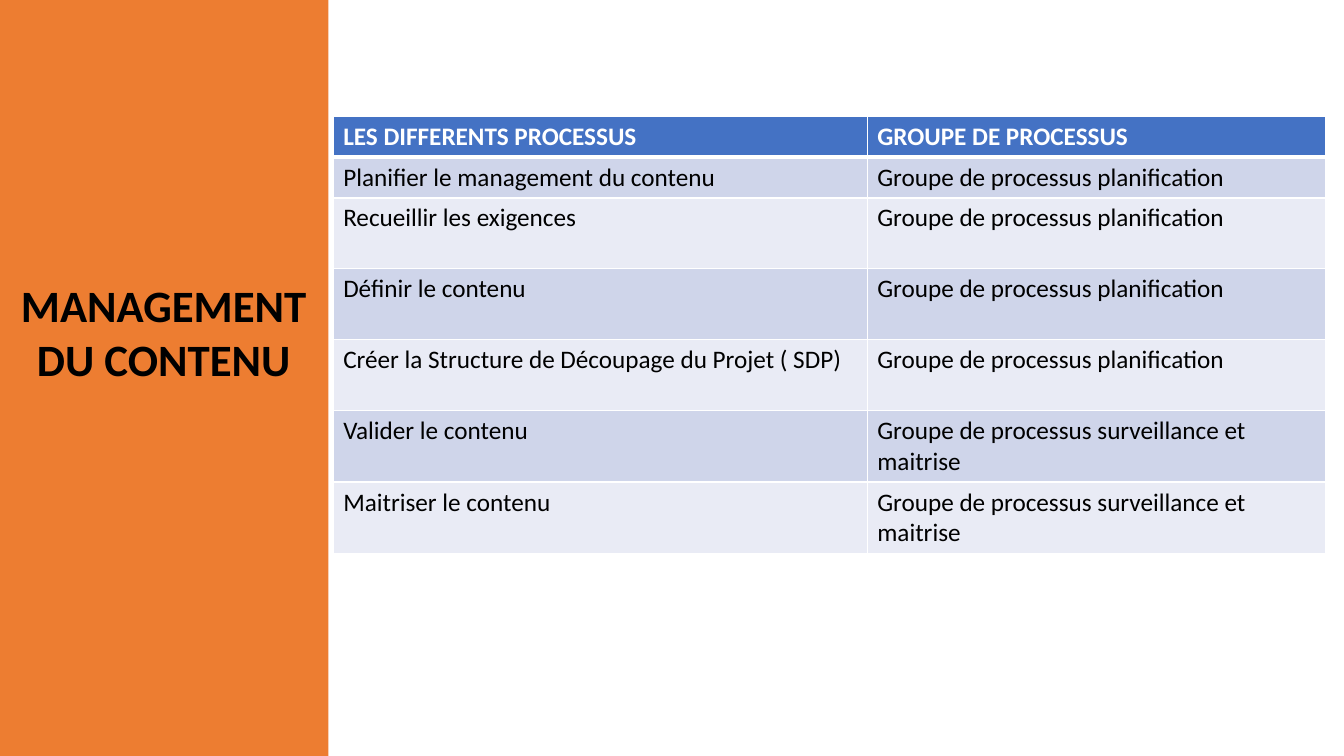
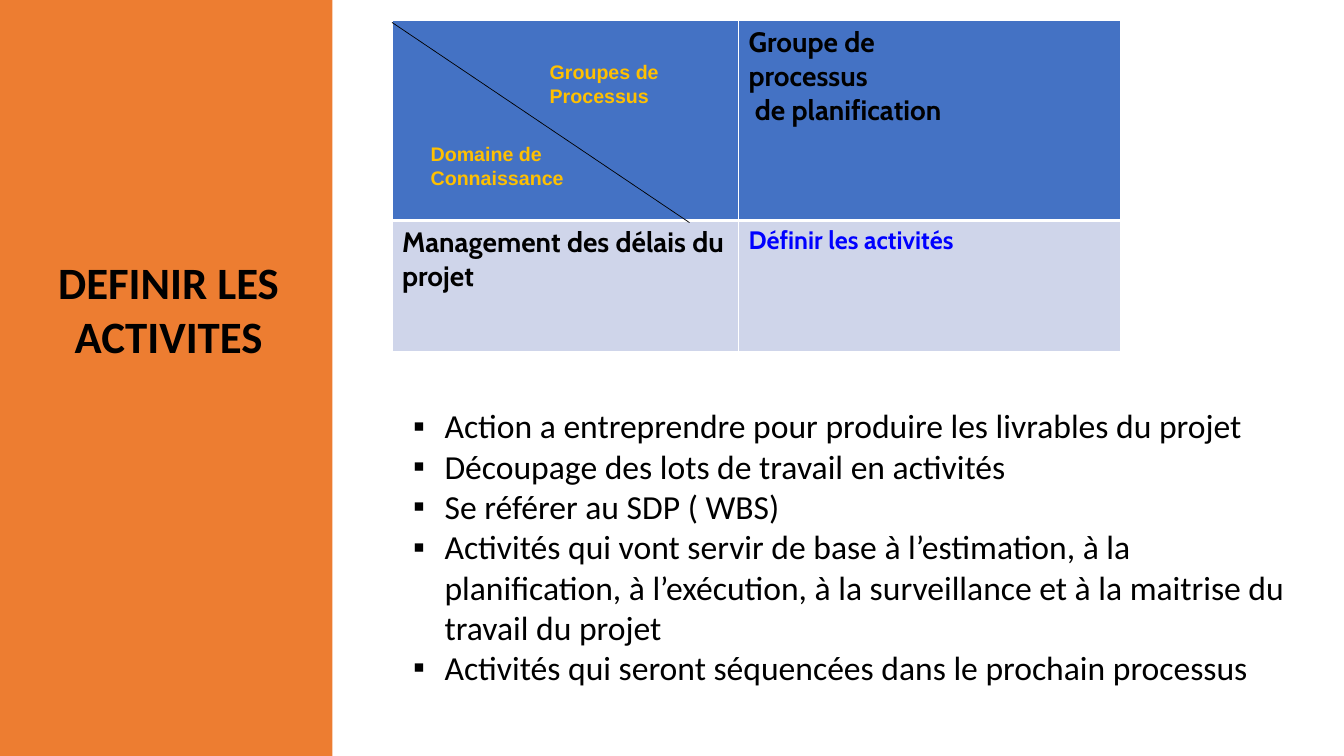
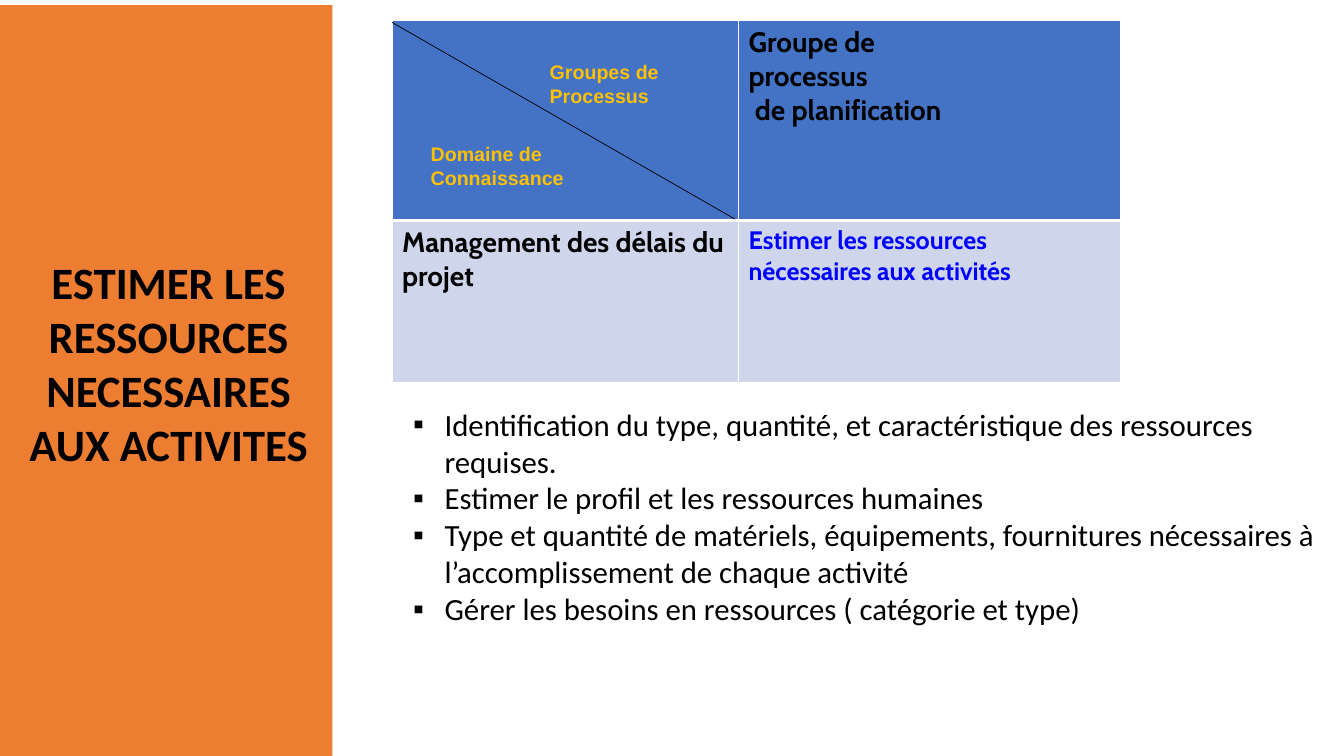
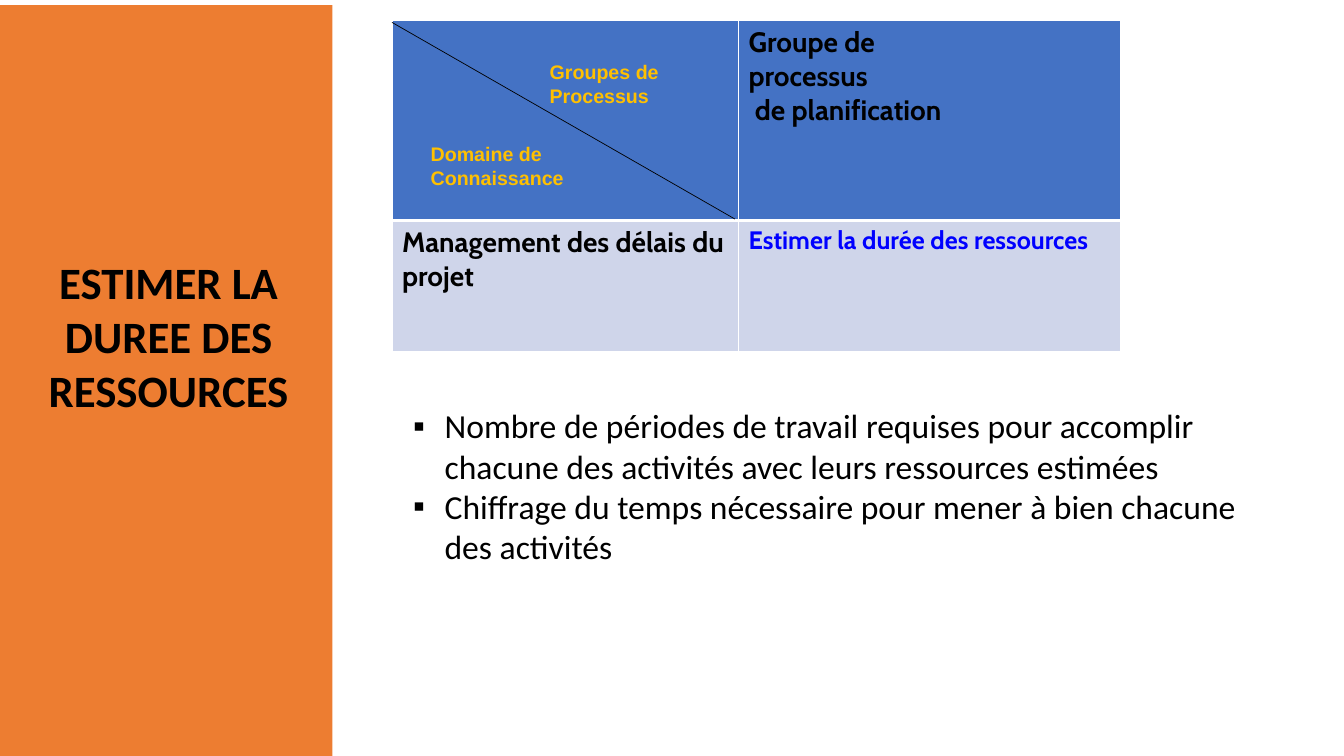
from dataclasses import dataclass

from lxml import etree
from pptx import Presentation
from pptx.dml.color import RGBColor
from pptx.enum.shapes import MSO_CONNECTOR, MSO_SHAPE
from pptx.enum.text import MSO_ANCHOR, MSO_AUTO_SIZE, PP_ALIGN
from pptx.oxml.ns import qn
from pptx.util import Pt

RECTANGLE = MSO_SHAPE.RECTANGLE
STRAIGHT = MSO_CONNECTOR.STRAIGHT
TOP = MSO_ANCHOR.TOP
CENTER = PP_ALIGN.CENTER
NO_AUTOFIT = MSO_AUTO_SIZE.NONE
TITLE_ONLY = 5


@dataclass(frozen=True)
class Font:
    name: str
    size: float
    color: str
    bold: bool = False


@dataclass(frozen=True)
class Theme:
    band: str = "ED7D31"
    header: str = "4472C4"
    stripes: tuple = ("CFD5EA", "E9EBF5")
    border: str = "FFFFFF"
    diagonal: str = "000000"
    thin: float = 1
    thick: float = 3
    diagonal_width: float = 0.5
    title: Font = Font("Calibri", 32, "000000", True)
    table_header: Font = Font("Calibri", 18, "FFFFFF", True)
    table_body: Font = Font("Calibri", 18, "000000")
    matrix: Font = Font("Cabin", 20, "000000", True)
    matrix_process: Font = Font("Cabin", 18, "0000FF", True)
    axis: Font = Font("Arial", 14, "FFC000", True)
    bullet_name: str = "Calibri"
    bullet_color: str = "000000"


THEME = Theme()
SLIDE_WIDTH, SLIDE_HEIGHT = 960, 540

PLANNING = "Groupe de processus planification"
CONTROL = "Groupe de processus surveillance et maitrise"
OVERVIEW = {
    "title": "MANAGEMENT DU CONTENU",
    "rows": [
        ("LES DIFFERENTS PROCESSUS", "GROUPE DE PROCESSUS"),
        ("Planifier le management du contenu", PLANNING),
        ("Recueillir les exigences", PLANNING),
        ("Définir le contenu", PLANNING),
        ("Créer la Structure de Découpage du Projet ( SDP)", PLANNING),
        ("Valider le contenu", CONTROL),
        ("Maitriser le contenu", CONTROL),
    ],
    "heights": [29.2] * 2 + [50.6] * 5,
}

PROCESS_GROUP = "Groupe de\nprocessus\n de planification"
DOMAIN = "Management des délais du projet"
# Text, left, top, width
AXES = [
    (("Groupes de", "Processus"), 322.5, 39.5, 170),
    (("Domaine de", "Connaissance"), 237.5, 98, 187),
]
PROCESSES = [
    {
        "title": "DEFINIR LES ACTIVITES",
        "process": "Définir les activités",
        "bullets": [
            "Action a entreprendre pour produire les livrables du projet",
            "Découpage des lots de travail en activités",
            "Se référer au SDP ( WBS)",
            "Activités qui vont servir de base à l’estimation, à la planification, "
            "à l’exécution, à la surveillance et à la maitrise du travail du projet",
            "Activités qui seront séquencées dans le prochain processus",
        ],
        "band_top": 0,
        "row_height": 94,
        "diagonal_end": (492.5, 159),
        "bullet_box": (656.5, 269),
        "bullet_size": 24,
    },
    {
        "title": "ESTIMER LES RESSOURCES NECESSAIRES AUX ACTIVITES",
        "process": "Estimer les ressources nécessaires aux activités",
        "bullets": [
            "Identification du type, quantité, et caractéristique des ressources requises.",
            "Estimer le profil et les ressources humaines",
            "Type et quantité de matériels, équipements, fournitures nécessaires "
            "à l’accomplissement de chaque activité",
            "Gérer les besoins en ressources ( catégorie et type)",
        ],
        "band_top": 3.6,
        "row_height": 115.5,
        "diagonal_end": (525, 156.5),
        "bullet_box": (663, 194),
        "bullet_size": 22,
    },
    {
        "title": "ESTIMER LA DUREE DES RESSOURCES",
        "process": "Estimer la durée des ressources",
        "bullets": [
            "Nombre de périodes de travail requises pour accomplir chacune "
            "des activités avec leurs ressources estimées",
            "Chiffrage du temps nécessaire pour mener à bien chacune des activités",
        ],
        "band_top": 3.6,
        "row_height": 94,
        "diagonal_end": (525, 156.5),
        "bullet_box": (622, 211),
        "bullet_size": 24,
    },
]


def add_text(paragraph, text, font):
    """Write text run by run, with a line break at each newline."""
    for index, line in enumerate(text.split("\n")):
        if index:
            paragraph.add_line_break()
        run = paragraph.add_run()
        run.text = line
        run.font.name = font.name
        run.font.size = Pt(font.size)
        run.font.bold = font.bold
        run.font.color.rgb = RGBColor.from_string(font.color)


def add_titled_slide(presentation, title, title_top, title_width, band_top, band_width):
    slide = presentation.slides.add_slide(presentation.slide_layouts[TITLE_ONLY])
    placeholder = slide.shapes.title
    placeholder.left, placeholder.top = Pt(0), Pt(title_top)
    placeholder.width, placeholder.height = Pt(title_width), Pt(163)
    frame = placeholder.text_frame
    frame.word_wrap = True
    frame.auto_size = NO_AUTOFIT
    frame.vertical_anchor = TOP
    paragraph = frame.paragraphs[0]
    paragraph.alignment = CENTER
    add_text(paragraph, title, THEME.title)

    band = slide.shapes.add_shape(
        RECTANGLE, Pt(0), Pt(band_top), Pt(band_width), Pt(SLIDE_HEIGHT - band_top))
    band.shadow.inherit = False
    band.fill.solid()
    band.fill.fore_color.rgb = RGBColor.from_string(THEME.band)
    band.line.fill.background()
    placeholder.element.addprevious(band.element)
    return slide


def set_borders(cell, top, bottom):
    properties = cell._tc.get_or_add_tcPr()
    widths = {"L": THEME.thin, "R": THEME.thin, "T": top, "B": bottom}
    for side, width in widths.items():
        line = etree.SubElement(properties, qn(f"a:ln{side}"), w=str(Pt(width)))
        fill = etree.SubElement(line, qn("a:solidFill"))
        etree.SubElement(fill, qn("a:srgbClr"), val=THEME.border)


def add_table(slide, left, top, widths, heights, rows, fonts):
    """Draw a table whose first row is a header; fonts has one font per cell."""
    table = slide.shapes.add_table(
        len(rows), len(widths), Pt(left), Pt(top), Pt(sum(widths)), Pt(sum(heights))).table
    for column, width in zip(table.columns, widths):
        column.width = Pt(width)
    for index, (row, height) in enumerate(zip(table.rows, heights)):
        row.height = Pt(height)
        color = THEME.stripes[(index - 1) % 2] if index else THEME.header
        for cell, text, font in zip(row.cells, rows[index], fonts[index]):
            set_borders(cell,
                        top=THEME.thick if index == 1 else THEME.thin,
                        bottom=THEME.thin if index else THEME.thick)
            cell.fill.solid()
            cell.fill.fore_color.rgb = RGBColor.from_string(color)
            if text:
                add_text(cell.text_frame.paragraphs[0], text, font)


def add_text_box(slide, left, top, width, height, texts, font, margin, bullet=None):
    """Write one paragraph per text, indented by margin, hanging when bulleted."""
    box = slide.shapes.add_textbox(Pt(left), Pt(top), Pt(width), Pt(height))
    frame = box.text_frame
    frame.word_wrap = True
    for index, text in enumerate(texts):
        paragraph = frame.add_paragraph() if index else frame.paragraphs[0]
        properties = paragraph._p.get_or_add_pPr()
        properties.set("marL", str(Pt(margin)))
        if bullet:
            properties.set("indent", str(-Pt(margin)))
            etree.SubElement(properties, qn("a:buFont"), typeface="Arial")
            etree.SubElement(properties, qn("a:buChar"), char=bullet)
        add_text(paragraph, text, font)


def add_diagonal(slide, start, end):
    connector = slide.shapes.add_connector(STRAIGHT, *(Pt(value) for value in start + end))
    connector.line.color.rgb = RGBColor.from_string(THEME.diagonal)
    connector.line.width = Pt(THEME.diagonal_width)
    etree.SubElement(connector.element.spPr, qn("a:effectLst"))


def add_overview_slide(presentation):
    slide = add_titled_slide(presentation, OVERVIEW["title"], 195, 234, 0, 234.5)
    rows = OVERVIEW["rows"]
    fonts = [[THEME.table_header] * 2] + [[THEME.table_body] * 2] * (len(rows) - 1)
    add_table(slide, 238, 83, (381.5, 327.5), OVERVIEW["heights"], rows, fonts)


def add_process_slide(presentation, content):
    slide = add_titled_slide(
        presentation, content["title"], 178.5, 241, content["band_top"], 237.5)
    add_table(slide, 280, 14.5, (247.5, 273), (143, content["row_height"]),
              [("", PROCESS_GROUP), (DOMAIN, content["process"])],
              [(THEME.matrix, THEME.matrix), (THEME.matrix, THEME.matrix_process)])
    add_diagonal(slide, (280, 16), content["diagonal_end"])
    for lines, left, top, width in AXES:
        add_text_box(slide, left, top, width, 58, lines, THEME.axis, 63)
    font = Font(THEME.bullet_name, content["bullet_size"], THEME.bullet_color)
    add_text_box(slide, 288, 286, *content["bullet_box"], content["bullets"], font, 22.5, "▪")


def main():
    presentation = Presentation()
    presentation.slide_width, presentation.slide_height = Pt(SLIDE_WIDTH), Pt(SLIDE_HEIGHT)
    add_overview_slide(presentation)
    for content in PROCESSES:
        add_process_slide(presentation, content)
    presentation.save("out.pptx")


if __name__ == "__main__":
    main()
